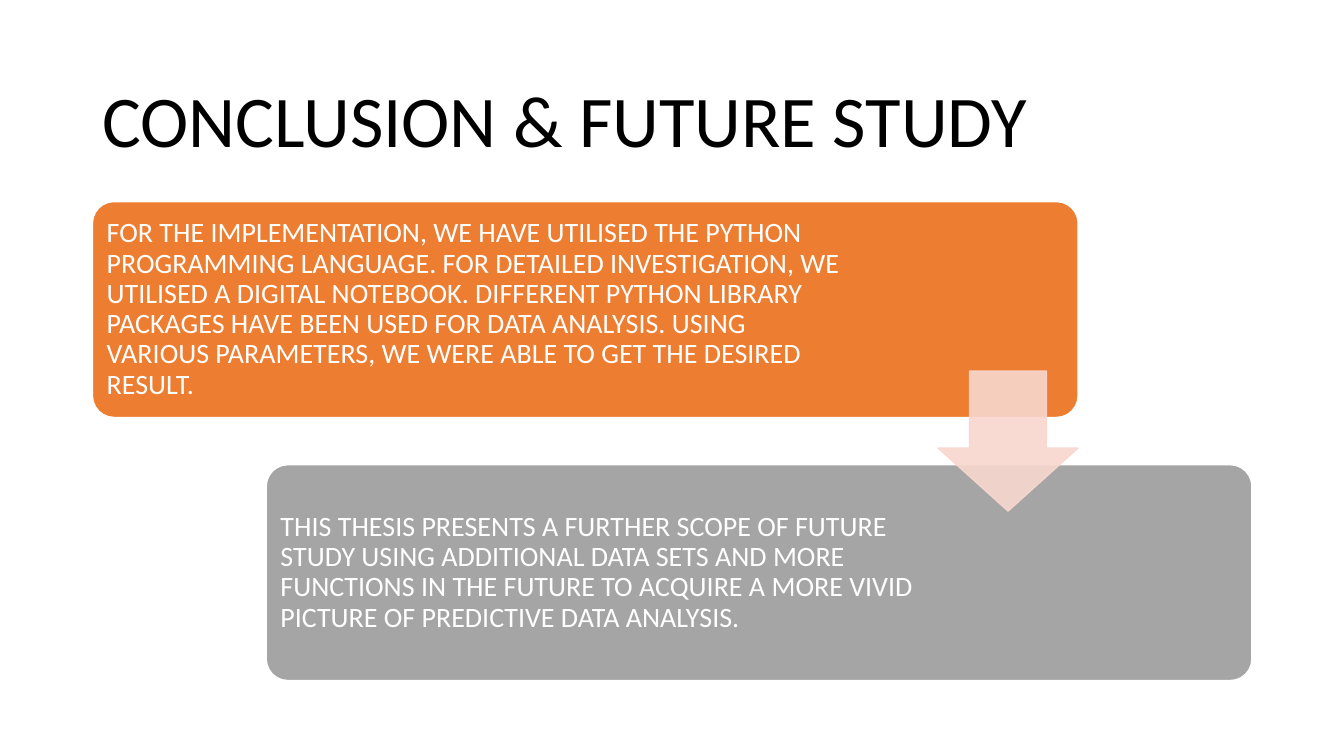
from dataclasses import dataclass

import lxml.etree
import pptx
import pptx.dml.color
import pptx.enum.shapes
import pptx.enum.text
import pptx.oxml.ns
import pptx.util

Cm = pptx.util.Cm
Shapes = pptx.enum.shapes.MSO_SHAPE

TITLE = "CONCLUSION & FUTURE STUDY"
# Text, fill colour name, right inset in cm
CARDS = [
    ("FOR THE IMPLEMENTATION, WE HAVE UTILISED THE PYTHON PROGRAMMING LANGUAGE. "
     "FOR DETAILED INVESTIGATION, WE UTILISED A DIGITAL NOTEBOOK. DIFFERENT PYTHON "
     "LIBRARY PACKAGES HAVE BEEN USED FOR DATA ANALYSIS. USING VARIOUS PARAMETERS, "
     "WE WERE ABLE TO GET THE DESIRED RESULT.", "conclusion", 5.54),
    ("THIS THESIS PRESENTS A FURTHER SCOPE OF FUTURE STUDY USING ADDITIONAL DATA "
     "SETS AND MORE FUNCTIONS IN THE FUTURE TO ACQUIRE A MORE VIVID PICTURE OF "
     "PREDICTIVE DATA ANALYSIS.", "future", 8.15),
]

LEFT, TOP = 2.33, 5.08
CARD_WIDTH, CARD_HEIGHT = 24.84, 5.44
STEP_X, STEP_Y = 4.38, 6.63
ARROW_SIZE = 3.53
INSET = 0.2


@dataclass(frozen=True)
class Theme:
    font: str = "Calibri"
    title_size: int = 52
    body_size: int = 20
    title: str = "000000"
    body: str = "FFFFFF"
    outline: str = "FFFFFF"
    conclusion: str = "ED7D31"
    future: str = "A5A5A5"
    arrow: str = "F8D7CE"
    arrow_opacity: int = 90


THEME = Theme()


def rgb(value):
    return pptx.dml.color.RGBColor.from_string(value)


def write_text(shape, text, size, color):
    frame = shape.text_frame
    frame.word_wrap = True
    frame.auto_size = pptx.enum.text.MSO_AUTO_SIZE.NONE
    frame.vertical_anchor = pptx.enum.text.MSO_ANCHOR.MIDDLE
    paragraph = frame.paragraphs[0]
    paragraph.alignment = pptx.enum.text.PP_ALIGN.LEFT
    paragraph.line_spacing = 0.9
    run = paragraph.add_run()
    run.text = text
    run.font.name = THEME.font
    run.font.size = pptx.util.Pt(size)
    run.font.color.rgb = rgb(color)


def add_filled_shape(slide, kind, box, adjustments, fill, outline):
    shape = slide.shapes.add_shape(kind, *(Cm(length) for length in box))
    for index, value in enumerate(adjustments):
        shape.adjustments[index] = value
    shape.shadow.inherit = False
    shape.fill.solid()
    shape.fill.fore_color.rgb = rgb(fill)
    shape.line.color.rgb = rgb(outline)
    shape.line.width = pptx.util.Pt(1)
    return shape


def add_title(slide):
    title = slide.shapes.title
    title.left, title.top = Cm(LEFT), Cm(1.55)
    title.width, title.height = Cm(29.21), Cm(3.15)
    write_text(title, TITLE, THEME.title_size, THEME.title)


def add_card(slide, index, text, fill_name, right_inset):
    box = (LEFT + index * STEP_X, TOP + index * STEP_Y, CARD_WIDTH, CARD_HEIGHT)
    card = add_filled_shape(slide, Shapes.ROUNDED_RECTANGLE, box, [0.1],
                            getattr(THEME, fill_name), THEME.outline)
    frame = card.text_frame
    frame.margin_left = frame.margin_top = frame.margin_bottom = Cm(INSET)
    frame.margin_right = Cm(right_inset)
    write_text(card, text, THEME.body_size, THEME.body)


def add_step_arrow(slide):
    """Centre the arrow on the gap, flush with the first card's right edge."""
    gap_middle = TOP + (CARD_HEIGHT + STEP_Y) / 2
    box = (LEFT + CARD_WIDTH - ARROW_SIZE, gap_middle - ARROW_SIZE / 2,
           ARROW_SIZE, ARROW_SIZE)
    arrow = add_filled_shape(slide, Shapes.DOWN_ARROW, box, [0.55, 0.45],
                             THEME.arrow, THEME.arrow)
    colors = list(arrow.element.spPr.iter(pptx.oxml.ns.qn("a:srgbClr")))
    for color in colors:
        alpha = lxml.etree.SubElement(color, pptx.oxml.ns.qn("a:alpha"))
        alpha.set("val", str(THEME.arrow_opacity * 1000))


def main():
    presentation = pptx.Presentation()
    presentation.slide_width, presentation.slide_height = Cm(33.87), Cm(19.05)
    slide = presentation.slides.add_slide(presentation.slide_layouts[5])
    add_title(slide)
    for index, card in enumerate(CARDS):
        add_card(slide, index, *card)
    add_step_arrow(slide)
    presentation.save("out.pptx")


if __name__ == "__main__":
    main()
